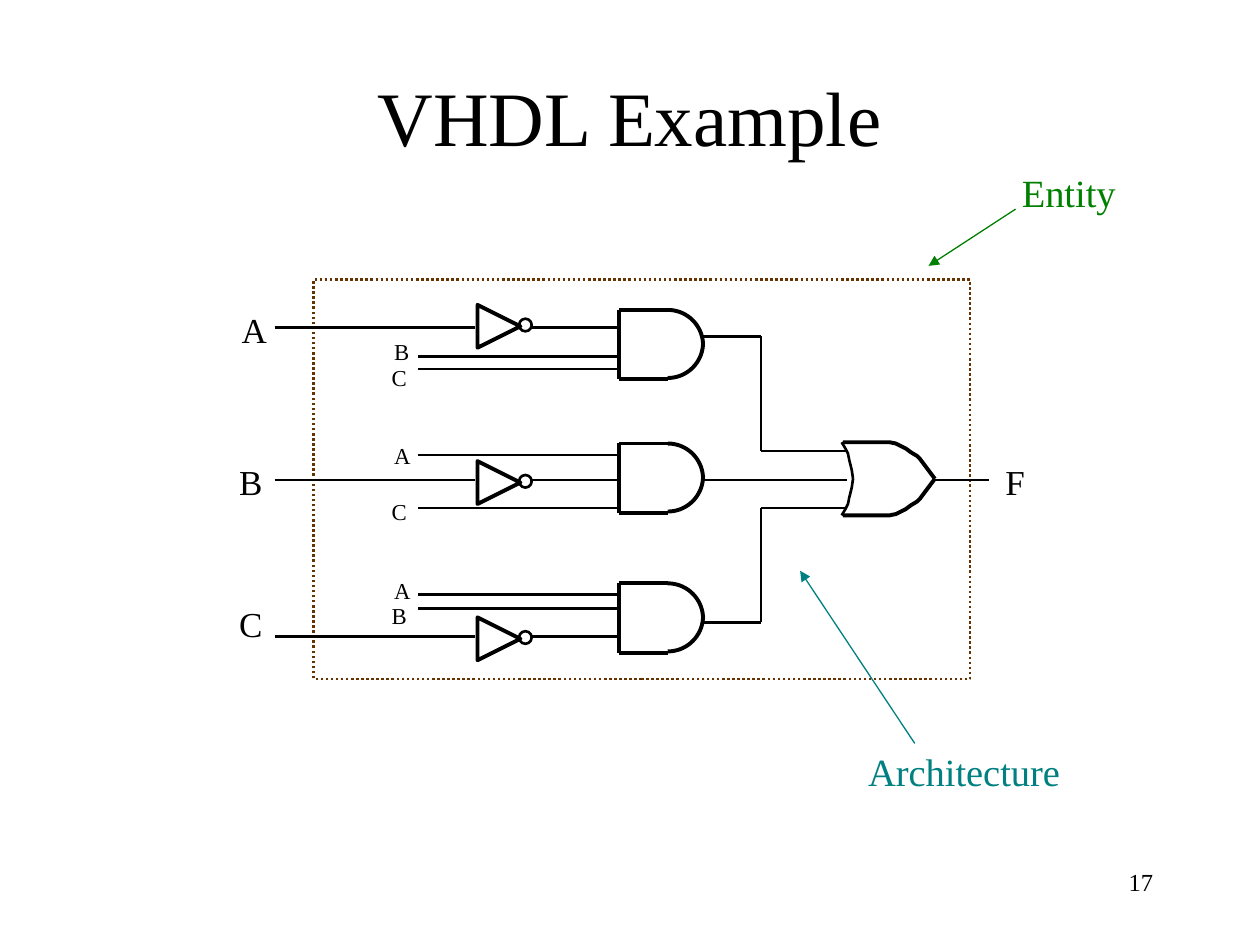
import math

from lxml import etree
from pptx import Presentation
from pptx.dml.color import RGBColor
from pptx.enum import dml, shapes, text
from pptx.oxml import ns
from pptx.util import Inches, Pt

COLORS = {
    "ink": "000000",
    "paper": "FFFFFF",
    "frame": "663300",
    "entity": "008000",
    "architecture": "008080",
}
FONT = "Times New Roman"
WIRE, THIN, HEAVY = 1.45, 1.5, 2.25


def set_line(shape, color, width):
    """Give a shape or connector its line colour and width in points."""
    shape.line.color.rgb = RGBColor.from_string(COLORS[color])
    shape.line.width = Pt(width)


def add_label(container, box, words, size, color="ink", margins=(0.1, 0.06, 0.1, 0.05),
              wrap=False, align=text.PP_ALIGN.LEFT, anchor=text.MSO_ANCHOR.TOP, spacing=0.95):
    """Add one line of text in a box of left, top, width and height."""
    frame = container.add_textbox(*map(Inches, box)).text_frame
    frame.margin_left, frame.margin_top, frame.margin_right, frame.margin_bottom = map(Inches, margins)
    frame.word_wrap = wrap
    frame.vertical_anchor = anchor
    frame.text = words
    paragraph = frame.paragraphs[0]
    paragraph.alignment = align
    paragraph.line_spacing = spacing
    font = paragraph.runs[0].font
    font.name = FONT
    font.size = Pt(size)
    font.color.rgb = RGBColor.from_string(COLORS[color])


def add_line(container, start, end, color="ink", width=WIRE, arrow=False):
    """Add a straight line, with a triangle at its end if arrow is set."""
    line = container.add_connector(
        shapes.MSO_CONNECTOR.STRAIGHT, *map(Inches, (*start, *end)))
    set_line(line, color, width)
    if arrow:
        etree.SubElement(line.line._get_or_add_ln(), ns.qn("a:tailEnd"), type="triangle")
    etree.SubElement(line._element.spPr, ns.qn("a:effectLst"))


def add_outline(container, left, top, points, width, closed=False, fill=None):
    """Draw a freeform through points measured from left and top."""
    corners = [(Inches(left + x), Inches(top + y)) for x, y in points]
    builder = container.build_freeform(*corners[0])
    builder.add_line_segments(corners[1:], close=closed)
    outline = builder.convert_to_shape()
    outline.shadow.inherit = False
    if fill:
        outline.fill.solid()
        outline.fill.fore_color.rgb = RGBColor.from_string(COLORS[fill])
    else:
        outline.fill.background()
    set_line(outline, "ink", width)


def add_and_gate(container, left, top):
    """Draw an AND gate from three straight sides and two quarter arcs."""
    straight, radius, height = 0.39, 0.28, 0.55
    bottom = top + height
    for start, end in (((left + straight, top), (left, top)),
                       ((left, top), (left, bottom)),
                       ((left, bottom), (left + straight, bottom))):
        add_line(container, start, end, width=HEAVY)
    angles = [math.radians(degrees) for degrees in range(0, 91, 5)]
    arc = [(straight + radius * math.sin(a), radius - radius * math.cos(a)) for a in angles]
    add_outline(container, left, top, arc, HEAVY)
    add_outline(container, left, top, [(x, height - 0.01 - y) for x, y in arc], HEAVY)


def add_or_gate(container, left, top):
    """Draw an OR gate, mirroring its upper half about the middle."""
    middle = 0.29
    body = [(0.01, 0), (0.34, 0), (0.38, 0), (0.43, 0.01), (0.47, 0.03), (0.51, 0.05),
            (0.55, 0.08), (0.6, 0.11), (0.62, 0.13), (0.65, 0.17), (0.68, 0.21),
            (0.71, 0.25), (0.74, middle)]
    back = [(0, 0), (0.03, 0.05), (0.05, 0.09), (0.06, 0.14), (0.07, 0.18), (0.08, 0.22),
            (0.09, middle)]
    for upper, width in ((body, HEAVY), (back, THIN)):
        lower = [(x, 2 * middle - y) for x, y in upper]
        for half in (upper, lower):
            add_outline(container, left, top, half, width)


def add_inverter(container, left, top):
    """Draw a NOT gate as a triangle and a bubble."""
    add_outline(container, left, top, [(0.34, 0.17), (0, 0.34), (0, 0)], HEAVY,
                closed=True, fill="paper")
    bubble = container.add_shape(
        shapes.MSO_SHAPE.OVAL, *map(Inches, (left + 0.33, top + 0.11, 0.1, 0.1)))
    bubble.shadow.inherit = False
    bubble.fill.background()
    set_line(bubble, "ink", THIN)


def add_circuit(slide, left, top, width, height):
    """Draw the framed circuit with its gates, wires and signal names."""
    group = slide.shapes.add_group_shape().shapes
    frame = group.add_shape(
        shapes.MSO_SHAPE.RECTANGLE, *map(Inches, (left, top, width, height)))
    frame.shadow.inherit = False
    frame.fill.background()
    set_line(frame, "frame", WIRE)
    frame.line.dash_style = dml.MSO_LINE.ROUND_DOT

    for gate_top in (0.24, 1.3, 2.41):
        add_and_gate(group, left + 2.42, top + gate_top)
    add_or_gate(group, left + 4.19, top + 1.29)
    for row in range(3):
        add_inverter(group, left + 1.3, top + 0.2 + 1.24 * row)

    wires = [[(3.09, 1.59), (4.23, 1.59)], [(4.91, 1.59), (width + 0.15, 1.59)]]
    for gate_y, or_y in ((0.45, 1.36), (2.72, 1.81)):
        wires.append([(3.09, gate_y), (3.55, gate_y), (3.55, or_y), (4.23, or_y)])
    for y in (0.38, 1.59, 2.83):
        wires += [[(-0.31, y), (1.28, y)], [(1.73, y), (2.41, y)]]
    for y in (0.61, 0.71, 1.39, 1.81, 2.5, 2.61):
        wires.append([(0.83, y), (2.41, y)])
    for wire in wires:
        corners = [(left + x, top + y) for x, y in wire]
        for start, end in zip(corners, corners[1:]):
            add_line(group, start, end)

    ports = [("A", -0.67, 0.19), ("B", -0.69, 1.4), ("C", -0.69, 2.53), ("F", 5.39, 1.4)]
    taps = [("B", 0.54, 0.42), ("C", 0.52, 0.62), ("A", 0.54, 1.24),
            ("C", 0.52, 1.69), ("A", 0.54, 2.31), ("B", 0.52, 2.51)]
    for names, size, box in ((ports, 20, (0.35, 0.37)), (taps, 13, (0.3, 0.29))):
        for name, x, y in names:
            add_label(group, (left + x, top + y, *box), name, size)


def add_callout(slide, box, words, color, start, end):
    """Add a coloured caption and its arrow, measured from the caption's corner."""
    left, top = box[:2]
    add_label(slide.shapes, box, words, 22, color, margins=(0.09, 0.06, 0.09, 0.04))
    add_line(slide.shapes, (left + start[0], top + start[1]),
             (left + end[0], top + end[1]), color, 0.75, arrow=True)


def main():
    """Build and save the slide."""
    presentation = Presentation()
    presentation.slide_width, presentation.slide_height = Inches(10), Inches(7.5)
    slide = presentation.slides.add_slide(presentation.slide_layouts[6])
    add_label(slide.shapes, (7.17, 6.83, 2.08, 0.5), "17", 14, margins=(0.1, 0.05, 0.1, 0.05),
              wrap=True, align=text.PP_ALIGN.RIGHT, spacing=1.0)
    add_label(slide.shapes, (0.5, 0.3, 9, 1.25), "VHDL Example", 44,
              margins=(0.1, 0.04, 0.1, 0.05), wrap=True, align=text.PP_ALIGN.CENTER,
              anchor=text.MSO_ANCHOR.MIDDLE, spacing=1.0)
    add_circuit(slide, 2.49, 2.22, 5.21, 3.17)
    add_callout(slide, (8.02, 1.31, 0.96, 0.43), "Entity", "entity", (0.04, 0.35), (-0.65, 0.8))
    add_callout(slide, (6.8, 5.9, 1.74, 0.43), "Architecture", "architecture",
                (0.46, 0), (-0.45, -1.37))
    presentation.save("out.pptx")


if __name__ == "__main__":
    main()
